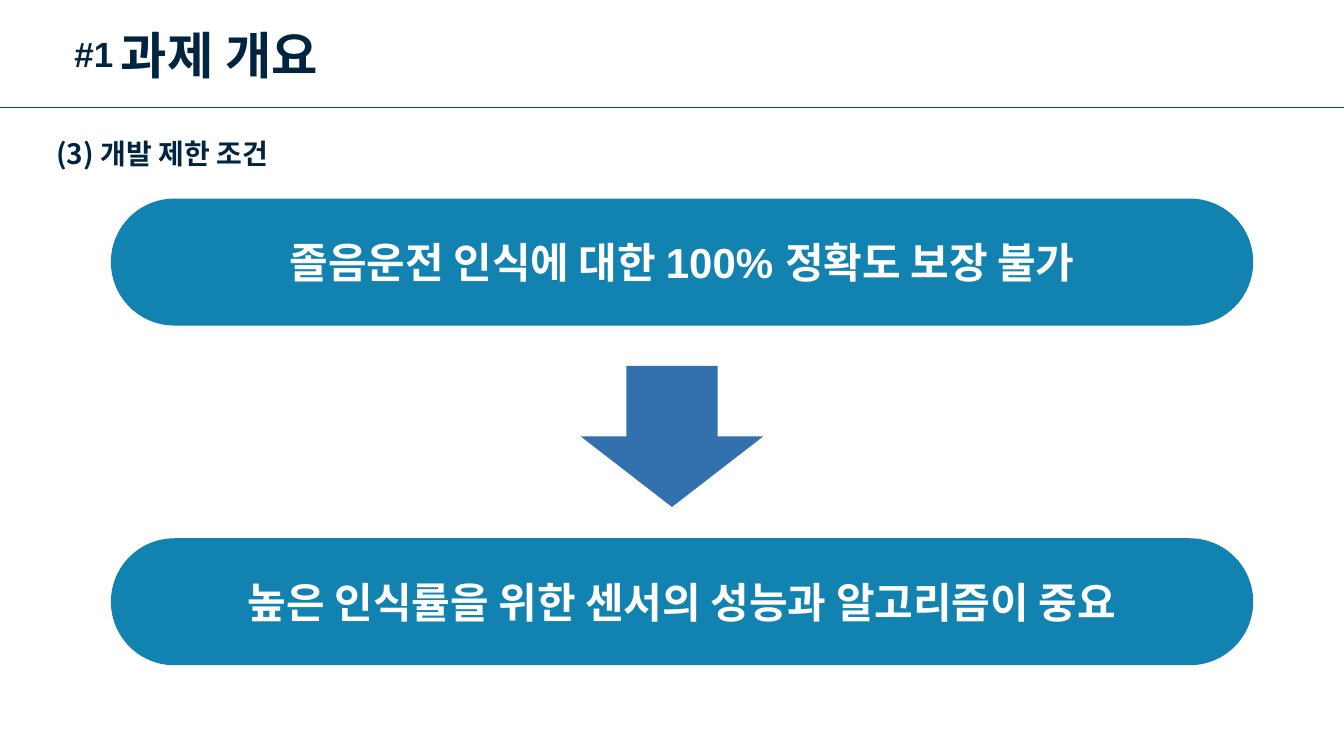
from dataclasses import dataclass

from lxml import etree
from pptx import Presentation
from pptx.dml.color import RGBColor
from pptx.enum.shapes import MSO_CONNECTOR, MSO_SHAPE
from pptx.enum.text import MSO_ANCHOR, PP_ALIGN
from pptx.oxml.ns import qn
from pptx.util import Pt

PILL = MSO_SHAPE.ROUNDED_RECTANGLE
ARROW = MSO_SHAPE.DOWN_ARROW
STRAIGHT = MSO_CONNECTOR.STRAIGHT
MIDDLE = MSO_ANCHOR.MIDDLE
CENTER = PP_ALIGN.CENTER

PX = 9144  # 100 px to the inch
WIDTH, HEIGHT = 1333, 750


@dataclass(frozen=True)
class Theme:
    ink: str = "012540"
    rule: str = "024B80"
    pill: str = "1282B0"
    arrow: str = "3371AE"
    white: str = "FFFFFF"
    latin: str = "Arial"
    korean: str = "Noto Sans CJK KR"
    title: int = 36
    number: int = 25
    body: int = 30
    head: int = 20


THEME = Theme()


def scale(*sizes):
    return [size * PX for size in sizes]


def set_text(frame, text, size, color, font):
    frame.text = text
    run = frame.paragraphs[0].runs[0]
    run.font.size = Pt(size)
    run.font.bold = True
    run.font.name = font
    run.font.color.rgb = RGBColor.from_string(color)
    # Hangul takes its face from the East Asian font
    asian = etree.Element(qn("a:ea"), typeface=THEME.korean)
    run.font._element.find(qn("a:latin")).addnext(asian)


def add_label(slide, box, text, size, font):
    frame = slide.shapes.add_textbox(*scale(*box)).text_frame
    frame.word_wrap = True
    set_text(frame, text, size, THEME.ink, font)


def add_solid(slide, kind, box, color):
    shape = slide.shapes.add_shape(kind, *scale(*box))
    shape.shadow.inherit = False
    shape.fill.solid()
    shape.fill.fore_color.rgb = RGBColor.from_string(color)
    shape.line.fill.background()
    return shape


def add_pill(slide, top, text):
    pill = add_solid(slide, PILL, (110, top, 1133, 126), THEME.pill)
    pill.adjustments[0] = 0.5
    frame = pill.text_frame
    frame.word_wrap = True
    frame.vertical_anchor = MIDDLE
    set_text(frame, text, THEME.body, THEME.white, THEME.latin)
    frame.paragraphs[0].alignment = CENTER


def add_rule(slide, y):
    rule = slide.shapes.add_connector(STRAIGHT, *scale(0, y, WIDTH, y))
    rule.line.width = Pt(0.5)
    rule.line.color.rgb = RGBColor.from_string(THEME.rule)
    etree.SubElement(rule._element.spPr, qn("a:effectLst"))


def main():
    deck = Presentation()
    deck.slide_width, deck.slide_height = scale(WIDTH, HEIGHT)
    slide = deck.slides.add_slide(deck.slide_layouts[6])

    # Header
    add_rule(slide, 107)
    add_label(slide, (64, 27, 92, 52), "#1", THEME.number, THEME.latin)
    add_label(slide, (110, 19, 412, 71), "과제 개요", THEME.title, THEME.korean)
    add_label(slide, (46, 131, 659, 44), "(3) 개발 제한 조건", THEME.head, THEME.korean)

    # Limit and what follows from it
    add_solid(slide, ARROW, (576, 363, 181, 140), THEME.arrow)
    add_pill(slide, 197, "졸음운전 인식에 대한 100% 정확도 보장 불가")
    add_pill(slide, 534, "높은 인식률을 위한 센서의 성능과 알고리즘이 중요")

    deck.save("out.pptx")


if __name__ == "__main__":
    main()
